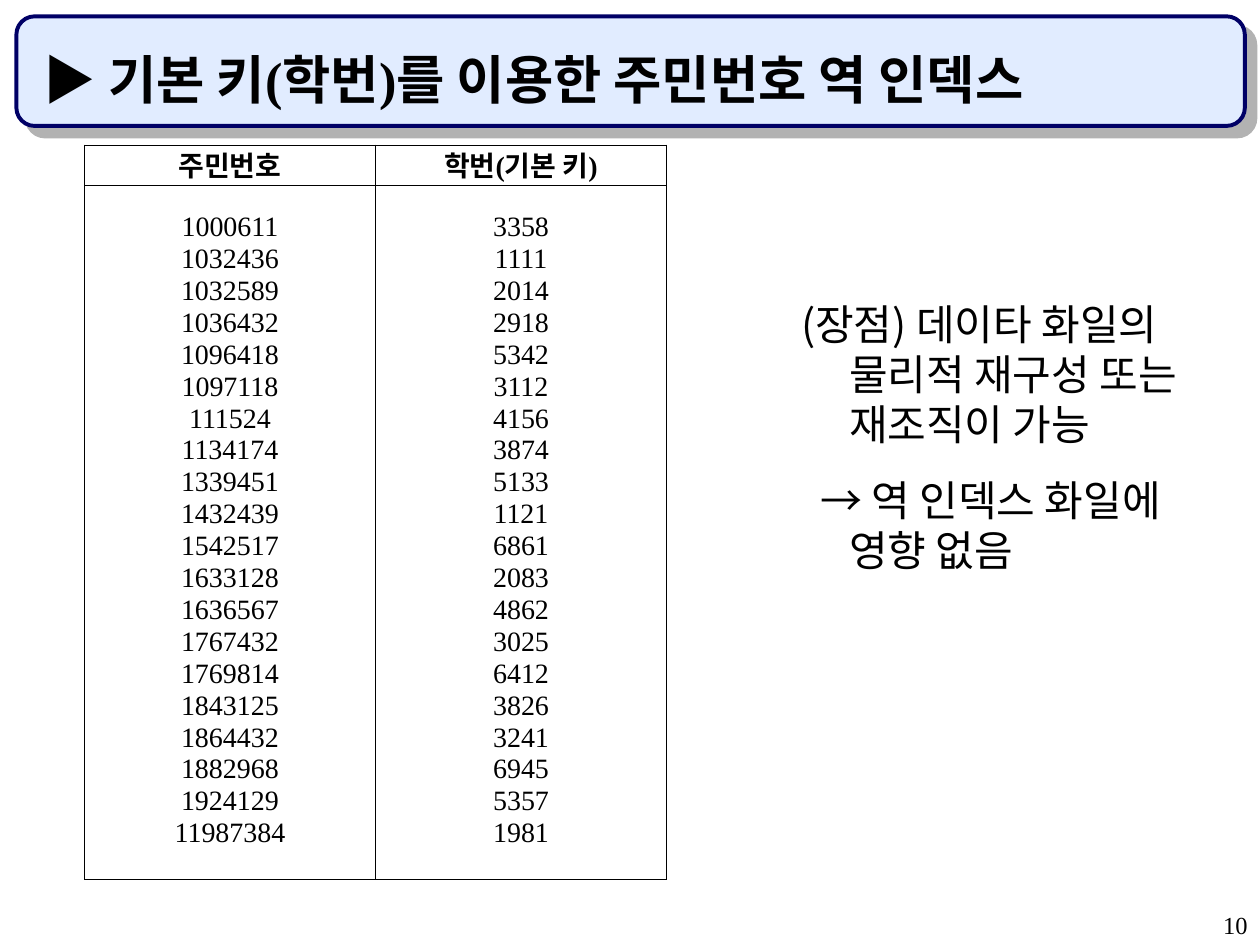
from lxml import etree
from pptx import Presentation
from pptx.dml.color import RGBColor
from pptx.enum.shapes import MSO_SHAPE
from pptx.enum.text import MSO_ANCHOR, PP_ALIGN
from pptx.oxml import parse_xml
from pptx.oxml.ns import nsdecls, qn
from pptx.util import Inches, Pt

ROUNDED = MSO_SHAPE.ROUNDED_RECTANGLE
LEFT, CENTER, RIGHT = PP_ALIGN.LEFT, PP_ALIGN.CENTER, PP_ALIGN.RIGHT
TOP, MIDDLE, BOTTOM = MSO_ANCHOR.TOP, MSO_ANCHOR.MIDDLE, MSO_ANCHOR.BOTTOM

BLACK = RGBColor(0x00, 0x00, 0x00)
NAVY = RGBColor(0x00, 0x00, 0x66)
PALE_BLUE = RGBColor(0xE1, 0xEC, 0xFF)
SHADOW_GREY = RGBColor(0xB2, 0xB2, 0xB2)
SERIF, KOREAN = "Times New Roman", "Noto Sans CJK KR"

# Content
TITLE = "▶ 기본 키(학번)를 이용한 주민번호 역 인덱스"
PAGE_NUMBER = "10"
HEADERS = ("주민번호", "학번(기본 키)")
INDEX_ENTRIES = [
    ("1000611", "3358"), ("1032436", "1111"), ("1032589", "2014"),
    ("1036432", "2918"), ("1096418", "5342"), ("1097118", "3112"),
    ("111524", "4156"), ("1134174", "3874"), ("1339451", "5133"),
    ("1432439", "1121"), ("1542517", "6861"), ("1633128", "2083"),
    ("1636567", "4862"), ("1767432", "3025"), ("1769814", "6412"),
    ("1843125", "3826"), ("1864432", "3241"), ("1882968", "6945"),
    ("1924129", "5357"), ("11987384", "1981"),
]
# (text, first line indent in inches)
ADVANTAGES = [
    ("(장점) 데이타 화일의 물리적 재구성 또는 재조직이 가능", -0.38),
    ("→ 역 인덱스 화일에 영향 없음", -0.23),
]


def write_lines(frame, lines, size, font=SERIF, bold=False, align=LEFT,
                line_spacing=None, gap=0):
    """Write one paragraph per line, with the gap only between paragraphs."""
    for number, line in enumerate(lines):
        paragraph = frame.add_paragraph() if number else frame.paragraphs[0]
        paragraph.alignment = align
        paragraph.line_spacing = line_spacing
        paragraph.space_before = Pt(gap if number else 0)
        run = paragraph.add_run()
        run.text = line
        run.font.size = Pt(size)
        run.font.name = font
        run.font.bold = bold
        run.font.color.rgb = BLACK
        if font == KOREAN:
            east_asian = etree.SubElement(run.font._element, qn("a:ea"))
            east_asian.set("typeface", font)


def add_text_box(slide, left, top, width, height, anchor=TOP):
    box = slide.shapes.add_textbox(
        Inches(left), Inches(top), Inches(width), Inches(height))
    frame = box.text_frame
    frame.word_wrap = True
    frame.vertical_anchor = anchor
    return frame


def add_banner(slide):
    banner = slide.shapes.add_shape(
        ROUNDED, Inches(0.13), Inches(0.13), Inches(9.75), Inches(0.87))
    banner.fill.solid()
    banner.fill.fore_color.rgb = PALE_BLUE
    banner.line.color.rgb = NAVY
    banner.line.width = Pt(2.25)
    banner.shadow.inherit = False
    effects = banner._element.spPr.find(qn("a:effectLst"))
    effects.append(parse_xml(
        f'<a:outerShdw {nsdecls("a")} dist="{Pt(8.5)}" dir="2700000" '
        f'algn="ctr" rotWithShape="0"><a:srgbClr val="{SHADOW_GREY}"/>'
        '</a:outerShdw>'))


def add_borders(cell):
    properties = cell._tc.get_or_add_tcPr()
    for side in ("lnL", "lnR", "lnT", "lnB"):
        properties.append(parse_xml(
            f'<a:{side} {nsdecls("a")} w="{Pt(0.45)}"><a:solidFill>'
            f'<a:srgbClr val="{BLACK}"/></a:solidFill></a:{side}>'))


def add_index_table(slide):
    table = slide.shapes.add_table(
        2, len(HEADERS), Inches(0.67), Inches(1.15),
        Inches(4.62), Inches(5.83)).table
    table.first_row = table.horz_banding = False
    table.rows[0].height = Inches(0.32)
    table.rows[1].height = Inches(5.51)
    for column, (header, values) in enumerate(
            zip(HEADERS, zip(*INDEX_ENTRIES))):
        table.columns[column].width = Inches(2.31)
        for row, lines in enumerate(([header], values)):
            cell = table.cell(row, column)
            add_borders(cell)
            cell.fill.background()
            cell.vertical_anchor = MIDDLE
            write_lines(cell.text_frame, lines, 16, bold=row == 0,
                        align=CENTER, line_spacing=0.8, gap=4)


def main():
    presentation = Presentation()
    presentation.slide_width = Inches(10)
    presentation.slide_height = Inches(7.5)
    slide = presentation.slides.add_slide(presentation.slide_layouts[6])

    # Title banner and page number
    add_banner(slide)
    write_lines(add_text_box(slide, 7.92, 7.17, 2.08, 0.33),
                [PAGE_NUMBER], 14, align=RIGHT)
    write_lines(add_text_box(slide, 0.25, 0.25, 9.42, 0.67, BOTTOM),
                [TITLE], 30, bold=True)

    # Advantages beside the table, with hanging indents
    frame = add_text_box(slide, 6.26, 1.08, 3.41, 5.83)
    frame.margin_top = Inches(1.29)
    write_lines(frame, [text for text, _ in ADVANTAGES], 24, KOREAN,
                line_spacing=Pt(28.6), gap=15)
    for paragraph, (_, indent) in zip(frame.paragraphs, ADVANTAGES):
        properties = paragraph._p.get_or_add_pPr()
        properties.set("marL", str(Inches(0.38)))
        properties.set("indent", str(Inches(indent)))

    # Inverted index table
    add_index_table(slide)
    presentation.save("out.pptx")


if __name__ == "__main__":
    main()
